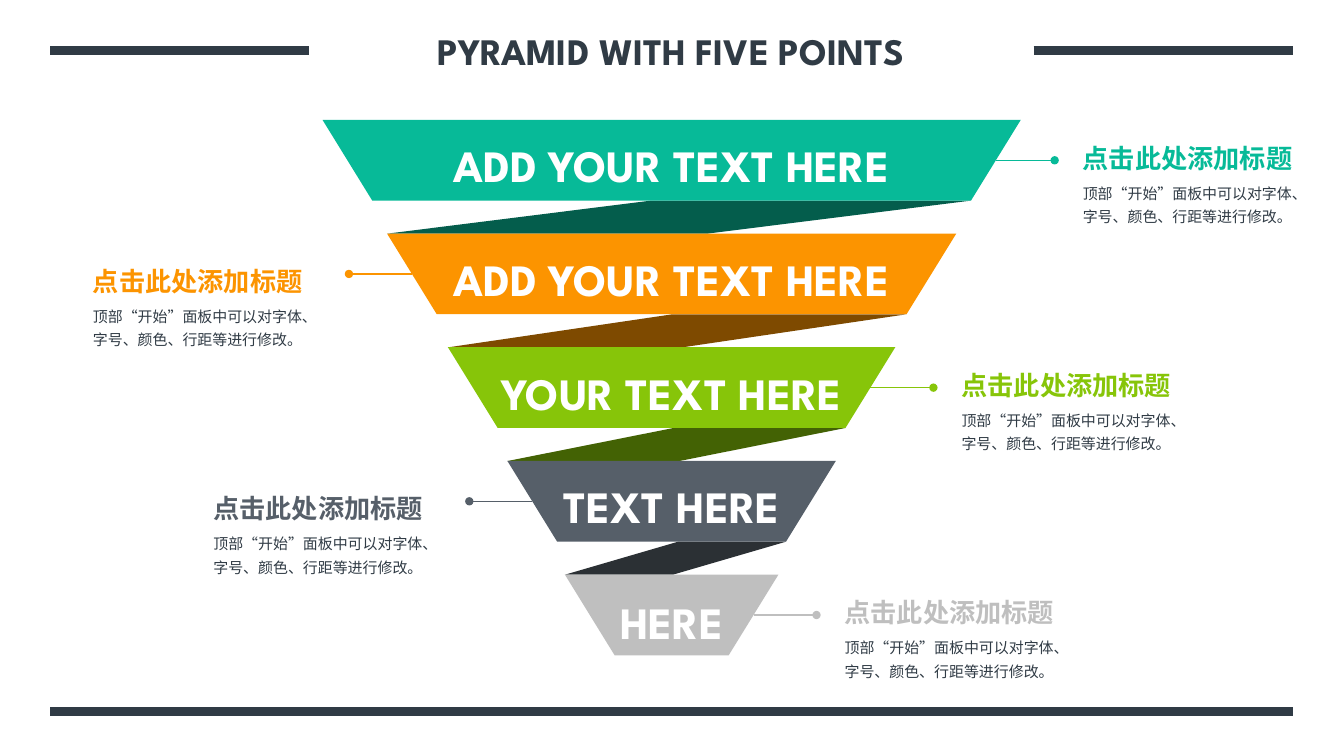
from dataclasses import dataclass

from pptx import Presentation
from pptx.dml.color import RGBColor
from pptx.enum.lang import MSO_LANGUAGE_ID
from pptx.enum.shapes import MSO_CONNECTOR, MSO_SHAPE
from pptx.enum.text import MSO_ANCHOR, MSO_AUTO_SIZE, PP_ALIGN
from pptx.oxml.ns import qn
from pptx.util import Pt
from lxml.etree import SubElement

FONT = "League Spartan"
COLOURS = {
    "ink": "303B45", "white": "FFFFFF",
    "teal": "07BA98", "orange": "FC9400", "green": "87C509",
    "slate": "565F69", "silver": "BFBFBF",
    "dark teal": "045D4C", "dark orange": "7E4A00",
    "dark green": "436204", "dark slate": "2B3034",
}
CAPTION_TITLE = "点击此处添加标题"
CAPTION_BODY = "顶部“开始”面板中可以对字体、字号、颜色、行距等进行修改。"

# Pyramid geometry, in points
CENTRE = 480
FIRST_TOP = 85.7
TIER_STEP = 81.2
TIER_HEIGHT = 57.6
FOLD_HEIGHT = TIER_STEP - TIER_HEIGHT
TAPER = 0.617
INSET = TAPER * TIER_HEIGHT


@dataclass
class Tier:
    label: str
    width: float
    label_width: float
    colour: str
    side: int  # 1: caption on the right, -1: on the left
    reach: float = 45
    label_drop: float = 9.4
    fold_slant: float = 0  # slant of the ribbon below, 0 for none


TIERS = [
    Tier("ADD YOUR TEXT HERE", 499, 378.7, "teal", 1, reach=42, fold_slant=7.99),
    Tier("ADD YOUR TEXT HERE", 406.8, 378.7, "orange", -1, fold_slant=6.79),
    Tier("YOUR TEXT HERE", 319.7, 269.3, "green", 1, fold_slant=5.03),
    Tier("TEXT HERE", 234.7, 174.2, "slate", -1, fold_slant=3.43),
    Tier("HERE", 152.6, 133.2, "silver", 1, label_drop=10.8),
]


def colour_of(name: str) -> RGBColor:
    return RGBColor.from_string(COLOURS[name])


def write(frame, text: str, *, size: float, colour: str, bold: bool = False,
          align=PP_ALIGN.LEFT, spacing: float = 1.0, chinese: bool = False) -> None:
    para = frame.paragraphs[0]
    para.alignment = align
    para.line_spacing = spacing
    span = para.add_run()
    span.text = text
    span.font.name = FONT
    span.font.size = Pt(size)
    span.font.bold = bold
    span.font.color.rgb = colour_of(colour)
    if chinese:
        span.font.language_id = MSO_LANGUAGE_ID.SIMPLIFIED_CHINESE


def add_text(page, text: str, left: float, top: float, width: float, height: float,
             *, wrap: bool = True, **style) -> None:
    box = page.shapes.add_textbox(Pt(left), Pt(top), Pt(width), Pt(height))
    box.text_frame.word_wrap = wrap
    box.text_frame.auto_size = MSO_AUTO_SIZE.SHAPE_TO_FIT_TEXT
    write(box.text_frame, text, **style)


def add_block(page, preset, left: float, top: float, width: float, height: float,
              *, adjustment: float, colour: str, flipped: bool = False) -> None:
    block = page.shapes.add_shape(preset, Pt(left), Pt(top), Pt(width), Pt(height))
    block.adjustments[0] = adjustment
    block.shadow.inherit = False
    block.fill.solid()
    block.fill.fore_color.rgb = colour_of(colour)
    block.line.fill.background()
    if flipped:
        block.element.spPr.find(qn("a:xfrm")).set("flipV", "1")


def add_line(page, start: float, end: float, height: float, *, colour: str,
             weight: float, dot: bool = False) -> None:
    line = page.shapes.add_connector(
        MSO_CONNECTOR.STRAIGHT, Pt(start), Pt(height), Pt(end), Pt(height))
    line.line.color.rgb = colour_of(colour)
    line.line.width = Pt(weight)
    if dot:
        SubElement(line.line._get_or_add_ln(), qn("a:tailEnd"), type="oval")
    SubElement(line.element.spPr, qn("a:effectLst"))


def add_title(page, text: str) -> None:
    title = page.shapes.title
    title.left, title.top, title.width, title.height = Pt(221), Pt(14.4), Pt(517.7), Pt(43.2)
    title.text_frame.vertical_anchor = MSO_ANCHOR.MIDDLE
    title.text_frame.auto_size = MSO_AUTO_SIZE.NONE
    write(title.text_frame, text, size=26.7, colour="ink", bold=True, align=PP_ALIGN.CENTER)


def add_fold(page, upper: Tier, lower: Tier, top: float) -> None:
    left = CENTRE - lower.width / 2
    right = CENTRE + upper.width / 2 - INSET
    add_block(page, MSO_SHAPE.PARALLELOGRAM, left, top, right - left, FOLD_HEIGHT,
              adjustment=upper.fold_slant, colour=f"dark {upper.colour}")


def add_caption(page, tier: Tier, top: float) -> None:
    edge = CENTRE + tier.side * (tier.width - INSET) / 2
    dot = edge + tier.side * tier.reach
    add_line(page, edge, dot, top + TIER_HEIGHT / 2, colour=tier.colour, weight=1, dot=True)
    left = dot + 13 if tier.side > 0 else dot - 190
    caption_top = top + (12.2 if tier.side > 0 else 19)
    add_text(page, CAPTION_BODY, left, caption_top + 26.4, 171.4, 41,
             size=10.7, colour="ink", spacing=1.3, chinese=True)
    add_text(page, CAPTION_TITLE, left, caption_top, 164.9, 30.2, wrap=False,
             size=18.7, colour=tier.colour, bold=True, chinese=True)


def add_tier(page, tier: Tier, top: float) -> None:
    add_block(page, MSO_SHAPE.TRAPEZOID, CENTRE - tier.width / 2, top, tier.width, TIER_HEIGHT,
              adjustment=TAPER, colour=tier.colour, flipped=True)
    add_text(page, tier.label, CENTRE - tier.label_width / 2, top + tier.label_drop,
             tier.label_width, 46, size=32, colour="white", bold=True, align=PP_ALIGN.CENTER)


def main() -> None:
    deck = Presentation()
    deck.slide_width, deck.slide_height = Pt(960.48), Pt(540)
    page = deck.slides.add_slide(deck.slide_layouts[5])

    # Title and frame rules
    for start, end, height in [(36, 221, 36), (738.7, 923.8, 36), (36, 923.8, 508.3)]:
        add_line(page, start, end, height, colour="ink", weight=6)
    add_title(page, "PYRAMID WITH FIVE POINTS")

    # Ribbon folds lie behind the tiers
    tops = [FIRST_TOP + index * TIER_STEP for index in range(len(TIERS))]
    for upper, lower, top in zip(TIERS, TIERS[1:], tops):
        add_fold(page, upper, lower, top + TIER_HEIGHT)

    # Captions, then tiers with their labels
    for tier, top in zip(TIERS, tops):
        add_caption(page, tier, top)
    for tier, top in zip(TIERS, tops):
        add_tier(page, tier, top)

    deck.save("out.pptx")


if __name__ == "__main__":
    main()
